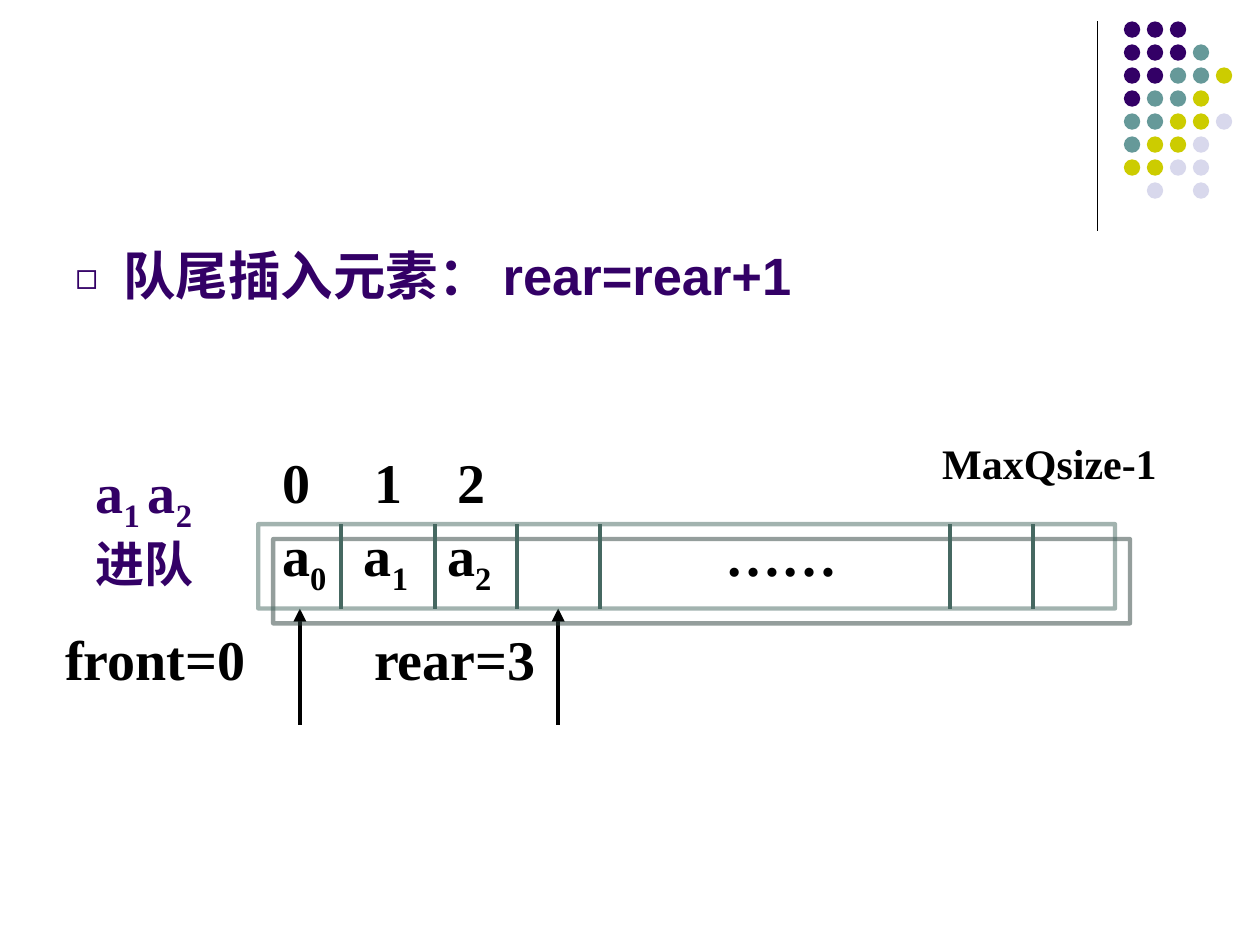
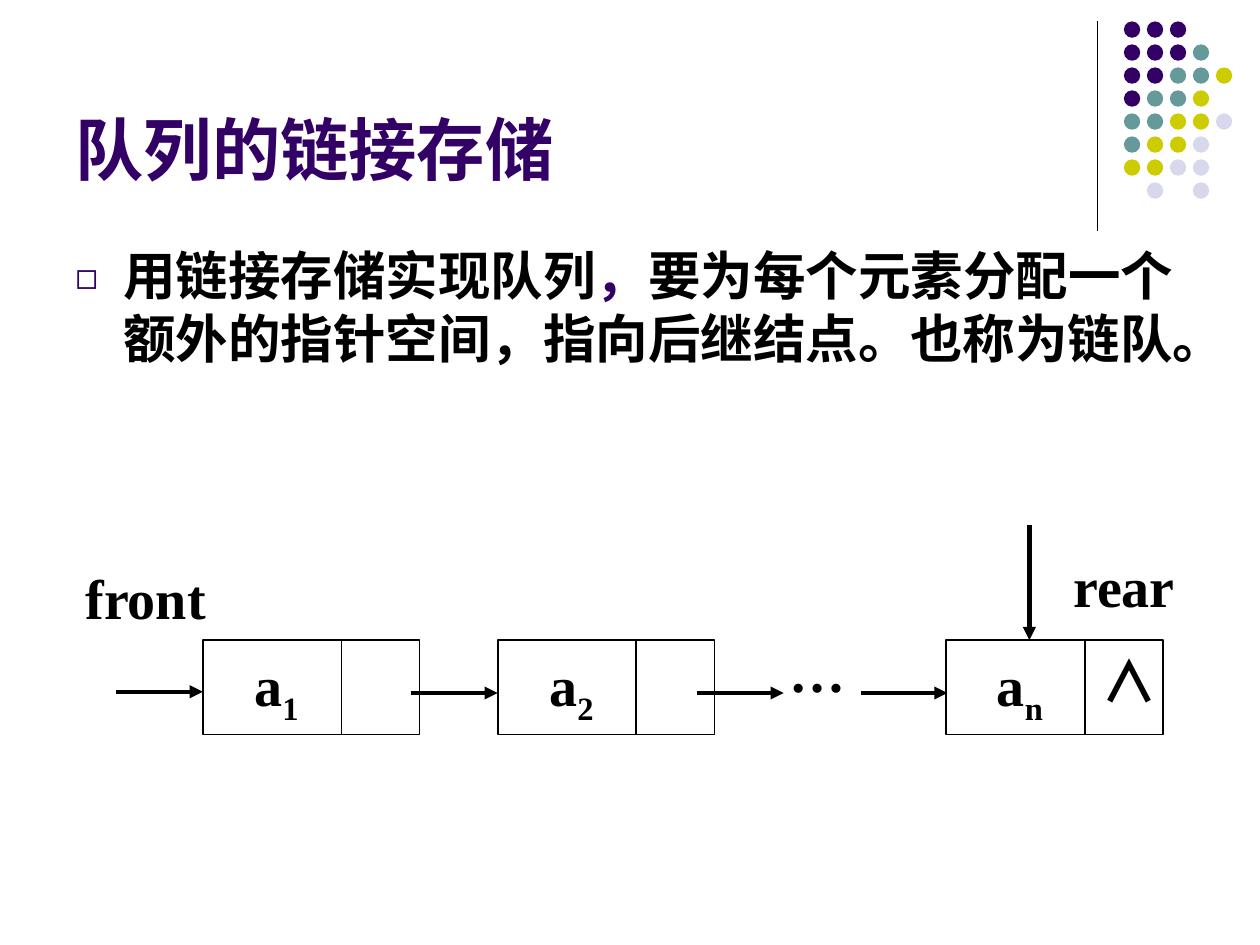
from dataclasses import dataclass

from lxml.etree import SubElement
from pptx import Presentation
from pptx.dml.color import RGBColor
from pptx.enum.shapes import MSO_CONNECTOR, MSO_SHAPE
from pptx.enum.text import MSO_ANCHOR, MSO_AUTO_SIZE, PP_ALIGN
from pptx.oxml.ns import qn
from pptx.shapes.autoshape import Shape
from pptx.slide import Slide
from pptx.text.text import TextFrame
from pptx.util import Inches, Pt

COLORS = {
    "purple": "330066",
    "teal": "669999",
    "yellow": "CCCC00",
    "lavender": "D8D8EC",
    "black": "000000",
    "queue": "466861",
    "queue_shadow": "2A3E3A",
}
DOT_COLORS = {"P": "purple", "T": "teal", "Y": "yellow", "L": "lavender"}
DOT_ROWS = ["PPP", "PPPT", "PPTTY", "PTTY", "TTYYL", "TYYL", "YYLL", ".L.L"]
DOT_LEFT, DOT_TOP, DOT_SIZE = 8.92, 0.17, 0.13
DOT_PITCH = (9.65 - DOT_LEFT) / 4

ARIAL = "Arial"
TIMES = "Times New Roman"
NOTO = "Noto Sans CJK SC"


@dataclass(frozen=True)
class Piece:
    text: str
    size: float = 32
    color: str = "black"
    font: str = TIMES
    asian: str = NOTO
    subscript: bool = False


@dataclass(frozen=True)
class Label:
    left: float
    top: float
    width: float
    height: float
    paragraphs: list[list[Piece]]
    formats: tuple[dict, ...] = ({},)
    grow: bool = True


@dataclass(frozen=True)
class Line:
    x1: float
    y1: float
    x2: float
    y2: float
    width: float
    color: str = "black"
    arrow: bool = False


def rgb(name: str) -> RGBColor:
    return RGBColor.from_string(COLORS[name])


def set_attributes(target: object, values: dict) -> None:
    for name, value in values.items():
        setattr(target, name, value)


def write_paragraphs(frame: TextFrame, paragraphs: list[list[Piece]],
                     formats: tuple[dict, ...] = ({},)) -> None:
    for index, pieces in enumerate(paragraphs):
        paragraph = frame.add_paragraph() if index else frame.paragraphs[0]
        set_attributes(paragraph, formats[min(index, len(formats) - 1)])
        for piece in pieces:
            run = paragraph.add_run()
            run.text = piece.text
            set_attributes(run.font, {"name": piece.font, "size": Pt(piece.size), "bold": True})
            run.font.color.rgb = rgb(piece.color)
            properties = run.font._element
            properties.find(qn("a:latin")).addnext(
                SubElement(properties, qn("a:ea"), typeface=piece.asian))
            if piece.subscript:
                properties.set("baseline", "-25000")


def add_label(slide: Slide, label: Label) -> Shape:
    box = slide.shapes.add_textbox(
        Inches(label.left), Inches(label.top), Inches(label.width), Inches(label.height))
    fit = MSO_AUTO_SIZE.SHAPE_TO_FIT_TEXT if label.grow else MSO_AUTO_SIZE.NONE
    set_attributes(box.text_frame, {"word_wrap": True, "auto_size": fit})
    write_paragraphs(box.text_frame, label.paragraphs, label.formats)
    return box


def add_line(slide: Slide, line: Line) -> None:
    connector = slide.shapes.add_connector(
        MSO_CONNECTOR.STRAIGHT,
        Inches(line.x1), Inches(line.y1), Inches(line.x2), Inches(line.y2))
    connector.line.width = Pt(line.width)
    connector.line.color.rgb = rgb(line.color)
    properties = connector._element.spPr
    if line.arrow:
        SubElement(properties.find(qn("a:ln")), qn("a:tailEnd"), type="triangle")
    SubElement(properties, qn("a:effectLst"))


def add_shape(slide: Slide, kind: MSO_SHAPE, left: float, top: float,
              width: float, height: float) -> Shape:
    shape = slide.shapes.add_shape(
        kind, Inches(left), Inches(top), Inches(width), Inches(height))
    shape.shadow.inherit = False
    return shape


def add_frame(slide: Slide, left: float, top: float, width: float, height: float,
              color: str, weight: float) -> Shape:
    frame = add_shape(slide, MSO_SHAPE.RECTANGLE, left, top, width, height)
    frame.fill.background()
    frame.line.color.rgb = rgb(color)
    frame.line.width = Pt(weight)
    return frame


def add_decoration(slide: Slide) -> None:
    add_line(slide, Line(8.71, 0.17, 8.71, 1.83, 0.75))
    for row, codes in enumerate(DOT_ROWS):
        for column, code in enumerate(codes):
            if code == ".":
                continue
            dot = add_shape(slide, MSO_SHAPE.OVAL, DOT_LEFT + column * DOT_PITCH,
                            DOT_TOP + row * DOT_PITCH, DOT_SIZE, DOT_SIZE)
            dot.fill.solid()
            dot.fill.fore_color.rgb = rgb(DOT_COLORS[code])
            dot.line.fill.background()


def add_bullet_text(slide: Slide, pieces: list[Piece]) -> None:
    box = add_label(slide, Label(0.5, 1.88, 9, 4.82, [pieces], grow=False))
    properties = box.text_frame.paragraphs[0]._p.get_or_add_pPr()
    indent = Inches(0.38)
    properties.set("marL", str(indent))
    properties.set("indent", str(-indent))
    color = SubElement(properties, qn("a:buClr"))
    SubElement(color, qn("a:srgbClr"), val=COLORS["purple"])
    SubElement(properties, qn("a:buSzPct"), val="70000")
    SubElement(properties, qn("a:buFont"), typeface=NOTO)
    SubElement(properties, qn("a:buChar"), char="◻")


def body(text: str, color: str = "black") -> Piece:
    return Piece(text, 30, color, ARIAL)


def element(index: str, color: str = "black") -> list[Piece]:
    return [Piece("a", color=color), Piece(index, color=color, subscript=True)]


def add_queue_frame(slide: Slide, top: float, height: float) -> None:
    frame = add_frame(slide, 2.05, top, 6.8, height, "queue", 2.5)
    properties = frame._element.spPr
    line_color = properties.find(qn("a:ln")).find(qn("a:solidFill"))[0]
    SubElement(line_color, qn("a:alpha"), val="50000")
    shadow = SubElement(properties.find(qn("a:effectLst")), qn("a:outerShdw"),
                        dist=str(Pt(12.1)), dir="2700000", algn="ctr", rotWithShape="0")
    SubElement(shadow, qn("a:srgbClr"), val=COLORS["queue_shadow"])


def build_insert_slide(presentation: Presentation) -> None:
    slide = presentation.slides.add_slide(presentation.slide_layouts[6])
    add_decoration(slide)
    add_bullet_text(slide, [body("队尾插入元素： rear=rear+1", "purple")])

    queue_top, queue_height = 4.16, 0.67
    queue_bottom = queue_top + queue_height
    for x in (2.38, 4.43):
        add_line(slide, Line(x, 5.75, x, queue_bottom, 2.5, arrow=True))
    add_queue_frame(slide, queue_top, queue_height)
    for x in (2.71, 3.45, 4.1, 4.76, 7.54, 8.2):
        add_line(slide, Line(x, queue_top, x, queue_bottom, 2.25, "queue"))

    cells = zip("012", (2.14, 2.79, 3.45), (2.14, 2.87, 3.53))
    for index, element_left, index_left in cells:
        add_label(slide, Label(element_left, 4.08, 0.82, 0.71, [element(index)]))
        add_label(slide, Label(index_left, 3.5, 0.49, 0.64, [[Piece(index)]]))

    entering = element("1 ", "purple") + element("2", "purple")
    entering_formats = ({}, {"line_spacing": 0.85, "space_before": Pt(5.2)})
    labels = [
        Label(5.66, 4.08, 1.23, 0.64, [[Piece("……", asian=TIMES)]]),
        Label(7.38, 3.42, 2.13, 0.5, [[Piece("MaxQsize-1", 24)]]),
        Label(0.66, 3.58, 1.64, 1.18,
              [entering, [Piece("进队", 28, "purple")]], entering_formats),
        Label(0.42, 4.91, 2.21, 0.64, [[Piece("front=0")]]),
        Label(2.87, 4.91, 1.88, 0.64, [[Piece("rear=3")]]),
    ]
    for label in labels:
        add_label(slide, label)


def add_node(slide: Slide, left: float, index: str) -> None:
    top, height = 5.08, 0.75
    divider = left + 1.1
    add_frame(slide, left, top, 1.72, height, "black", 1)
    add_line(slide, Line(divider, top, divider, top + height, 1))
    centered = {"alignment": PP_ALIGN.CENTER, "line_spacing": 0.8}
    add_label(slide, Label(left + 0.07, 5.17, 1.03, 0.59, [element(index)], (centered,)))


def build_linked_slide(presentation: Presentation) -> None:
    slide = presentation.slides.add_slide(presentation.slide_layouts[5])
    add_decoration(slide)
    title = slide.shapes.title
    set_attributes(title, {"left": Inches(0.5), "top": Inches(0.13),
                           "width": Inches(8.25), "height": Inches(1.42)})
    set_attributes(title.text_frame, {"vertical_anchor": MSO_ANCHOR.BOTTOM, "word_wrap": True,
                                      "auto_size": MSO_AUTO_SIZE.NONE})
    write_paragraphs(title.text_frame, [[Piece("队列的链接存储", 39, "purple", ARIAL)]],
                     ({"alignment": PP_ALIGN.LEFT},))
    add_bullet_text(slide, [
        body("用链接存储实现队列"),
        body("，", "purple"),
        body("要为每个元素分配一个额外的指针空间，指向后继结点。也称为链队。"),
    ])

    for left, index in ((1.61, "1"), (3.95, "2"), (7.51, "n")):
        add_node(slide, left, index)
    for start, y in ((0.92, 5.49), (3.26, 5.5), (5.53, 5.5), (6.83, 5.5)):
        add_line(slide, Line(start, y, start + 0.69, y, 2.5, arrow=True))
    add_line(slide, Line(8.17, 4.17, 8.17, 5.08, 2.5, arrow=True))

    labels = [
        Label(8.55, 5.08, 0.83, 0.64, [[Piece("∧", font=NOTO)]],
              ({"alignment": PP_ALIGN.CENTER},)),
        Label(0.58, 4.42, 1.33, 0.64, [[Piece("front")]]),
        Label(8.42, 4.33, 1.17, 0.64, [[Piece("rear")]]),
        Label(6.17, 5, 0.75, 0.64, [[Piece("…", asian=TIMES)]]),
    ]
    for label in labels:
        add_label(slide, label)


def main() -> None:
    presentation = Presentation()
    set_attributes(presentation, {"slide_width": Inches(10), "slide_height": Inches(7.5)})
    build_insert_slide(presentation)
    build_linked_slide(presentation)
    presentation.save("out.pptx")


if __name__ == "__main__":
    main()
